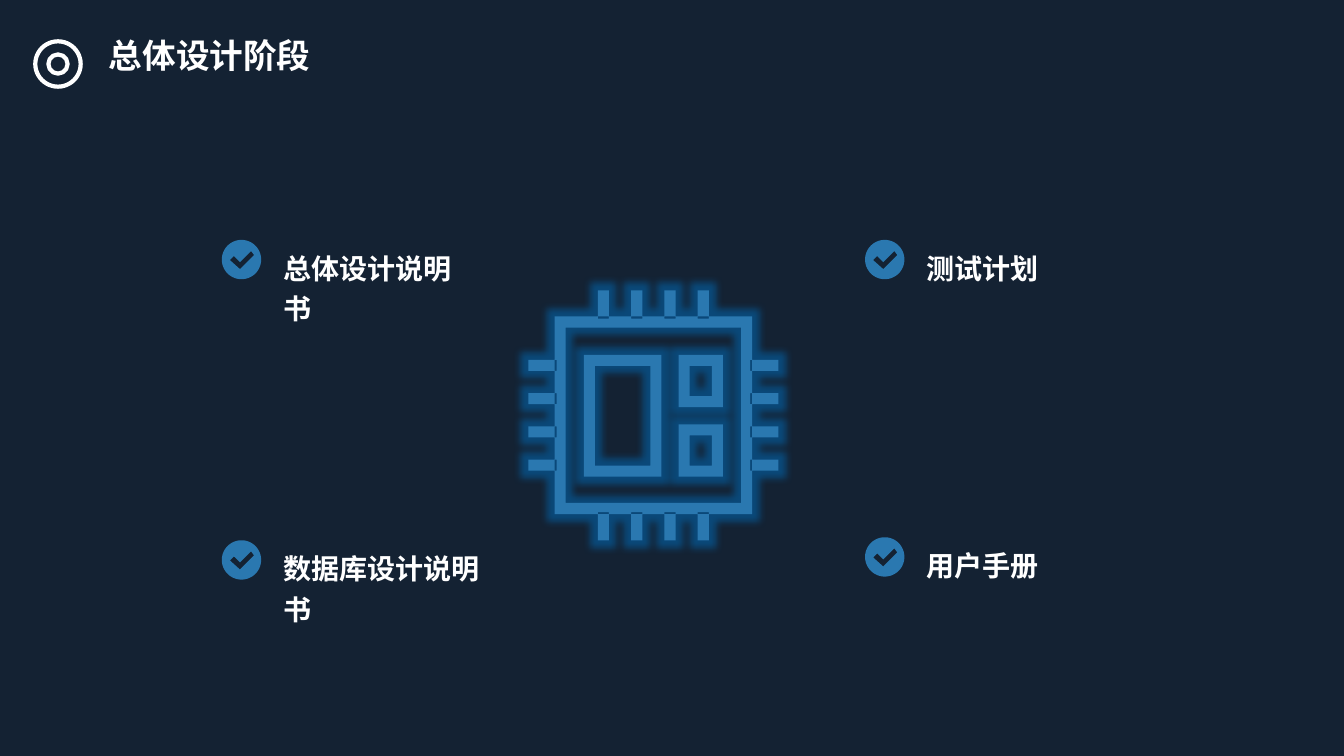
from collections import namedtuple
from dataclasses import dataclass
from math import cos, pi, sin

from lxml.etree import SubElement
from pptx import Presentation
from pptx.dml.color import RGBColor
from pptx.enum.shapes import MSO_SHAPE
from pptx.enum.text import MSO_ANCHOR, MSO_AUTO_SIZE, PP_ALIGN
from pptx.oxml.ns import qn
from pptx.util import Inches, Pt

Box = namedtuple("Box", "left top width height")


@dataclass(frozen=True)
class Theme:
    background: RGBColor = RGBColor(0x14, 0x22, 0x33)
    accent: RGBColor = RGBColor(0x2A, 0x78, 0xB0)
    text: RGBColor = RGBColor(0xFF, 0xFF, 0xFF)
    glow: str = "0070C0"
    font: str = "Lato"
    title_size: int = 24
    label_size: int = 20


THEME = Theme()
CHECK_MARK = [(0.18, 0.29), (0.08, 0.2), (0.12, 0.16), (0.18, 0.22), (0.29, 0.11), (0.32, 0.15)]
DELIVERABLES = [
    ("测试计划", Box(8.58, 2.38, 1.85, 0.5)),
    ("用户手册", Box(8.58, 5.33, 1.85, 0.5)),
    ("数据库设计说明书", Box(2.2, 5.36, 2.91, 0.5)),
    ("总体设计说明书", Box(2.2, 2.38, 2.63, 0.5)),
]


def place(shape, box):
    shape.left, shape.top, shape.width, shape.height = (Inches(length) for length in box)


def write_text(shape, text, size):
    frame = shape.text_frame
    frame.word_wrap = True
    frame.vertical_anchor = MSO_ANCHOR.TOP
    frame.auto_size = MSO_AUTO_SIZE.SHAPE_TO_FIT_TEXT
    para = frame.paragraphs[0]
    para.text = text
    para.alignment = PP_ALIGN.LEFT
    para.line_spacing = 1.2
    para.font.name = THEME.font
    para.font.size = Pt(size)
    para.font.bold = True
    para.font.color.rgb = THEME.text


def draw_outlines(shapes, box, outlines):
    placed = [
        [(Inches(box.left + x), Inches(box.top + y)) for x, y in outline]
        for outline in outlines
    ]
    builder = shapes.build_freeform(*placed[0][0])
    builder.add_line_segments(placed[0][1:])
    for outline in placed[1:]:
        builder.move_to(*outline[0])
        builder.add_line_segments(outline[1:])
    shape = builder.convert_to_shape()
    shape.fill.solid()
    shape.fill.fore_color.rgb = THEME.accent
    shape.line.fill.background()
    shape.shadow.inherit = False
    return shape


def rectangle(left, top, width, height):
    right, bottom = left + width, top + height
    return [(left, top), (right, top), (right, bottom), (left, bottom)]


def hollow_rectangle(left, top, width, height, wall=0.11):
    inner = rectangle(left + wall, top + wall, width - 2 * wall, height - 2 * wall)
    return [rectangle(left, top, width, height), inner]


def add_header(page, box):
    title = page.shapes.title
    place(title, Box(box.left + 0.63, box.top, box.width - 0.63, box.height))
    write_text(title, "总体设计阶段", THEME.title_size)
    emblem = page.shapes.add_group_shape()
    for diameter in (0.45, 0.19):
        inset = (0.45 - diameter) / 2
        ring = emblem.shapes.add_shape(
            MSO_SHAPE.OVAL,
            Inches(box.left + inset),
            Inches(box.top + 0.19 + inset),
            Inches(diameter),
            Inches(diameter),
        )
        ring.fill.background()
        ring.line.color.rgb = THEME.text
        ring.line.width = Pt(3)
        ring.shadow.inherit = False


def add_deliverable(page, box, text, diameter=0.39, steps=72):
    group = page.shapes.add_group_shape()
    radius = diameter / 2
    angles = [2 * pi * step / steps for step in range(steps)]
    circle = [(radius + radius * cos(angle), radius + radius * sin(angle)) for angle in angles]
    draw_outlines(group.shapes, box, [circle, CHECK_MARK])
    label_box = Box(box.left + 0.51, box.top, box.width - 0.51, box.height)
    label = group.shapes.add_textbox(*(Inches(length) for length in label_box))
    write_text(label, text, THEME.label_size)


def add_chip(page, box):
    outlines = hollow_rectangle(0.26, 0.26, 1.96, 1.96)
    outlines += hollow_rectangle(0.55, 0.64, 0.77, 1.21)
    for top in (0.64, 1.33):
        outlines += hollow_rectangle(1.49, top, 0.44, 0.52)
    for edge in (0, box.width - 0.28):
        for index in range(4):
            offset = 0.69 + 0.33 * index
            outlines.append(rectangle(offset, edge, 0.11, 0.28))
            outlines.append(rectangle(edge, offset, 0.28, 0.11))
    chip = draw_outlines(page.shapes, box, outlines)
    effects = chip._element.spPr.find(qn("a:effectLst"))
    glow = SubElement(effects, qn("a:glow"), rad=str(Pt(11)))
    color = SubElement(glow, qn("a:srgbClr"), val=THEME.glow)
    SubElement(color, qn("a:alpha"), val="50000")


def main():
    deck = Presentation()
    deck.slide_width, deck.slide_height = Inches(13.33), Inches(7.5)
    page = deck.slides.add_slide(deck.slide_layouts[5])
    page.background.fill.solid()
    page.background.fill.fore_color.rgb = THEME.background
    add_header(page, Box(0.35, 0.22, 3.53, 0.58))
    for text, box in DELIVERABLES:
        add_deliverable(page, box, text)
    add_chip(page, Box(5.24, 2.88, 2.48, 2.48))
    deck.save("out.pptx")


if __name__ == "__main__":
    main()
